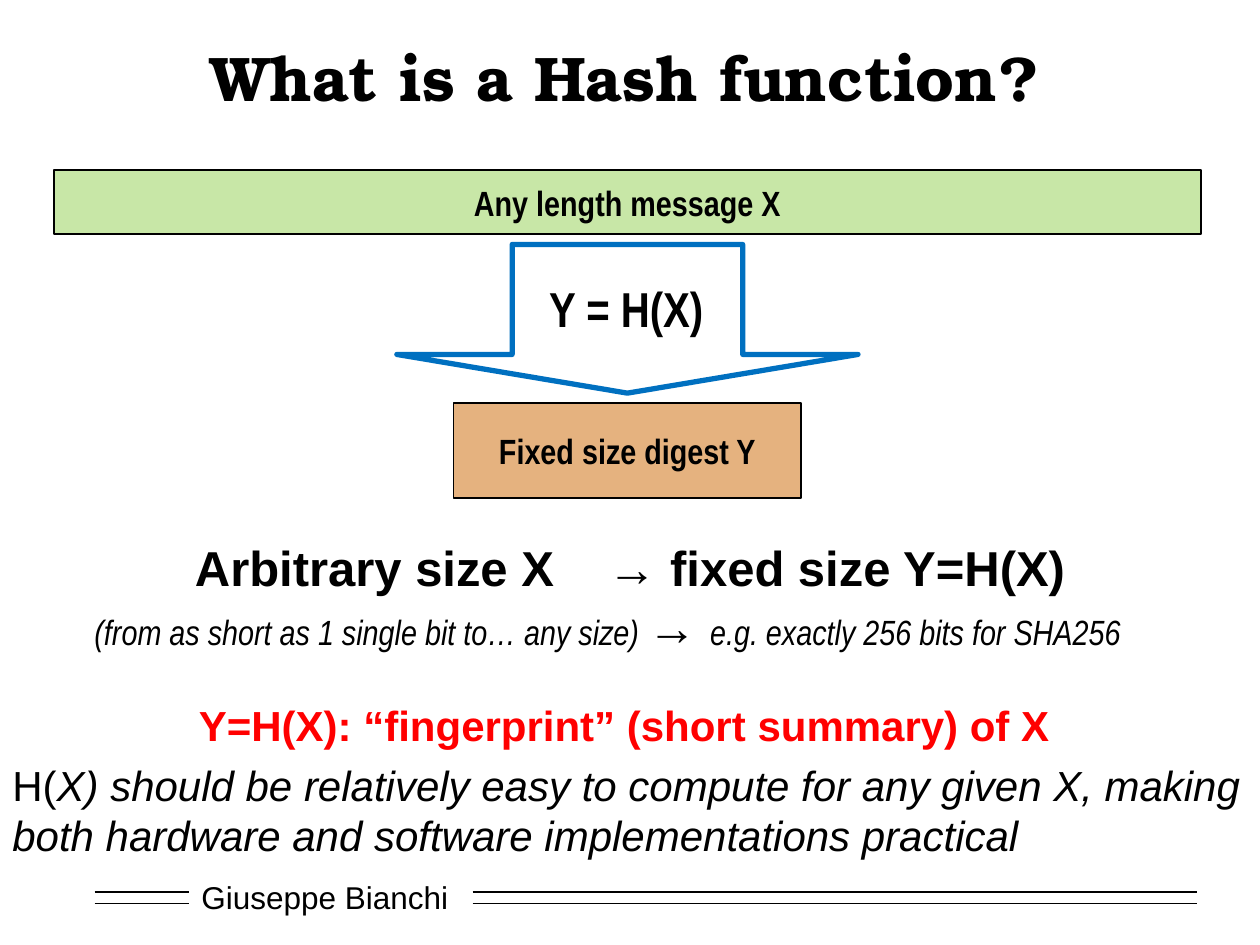
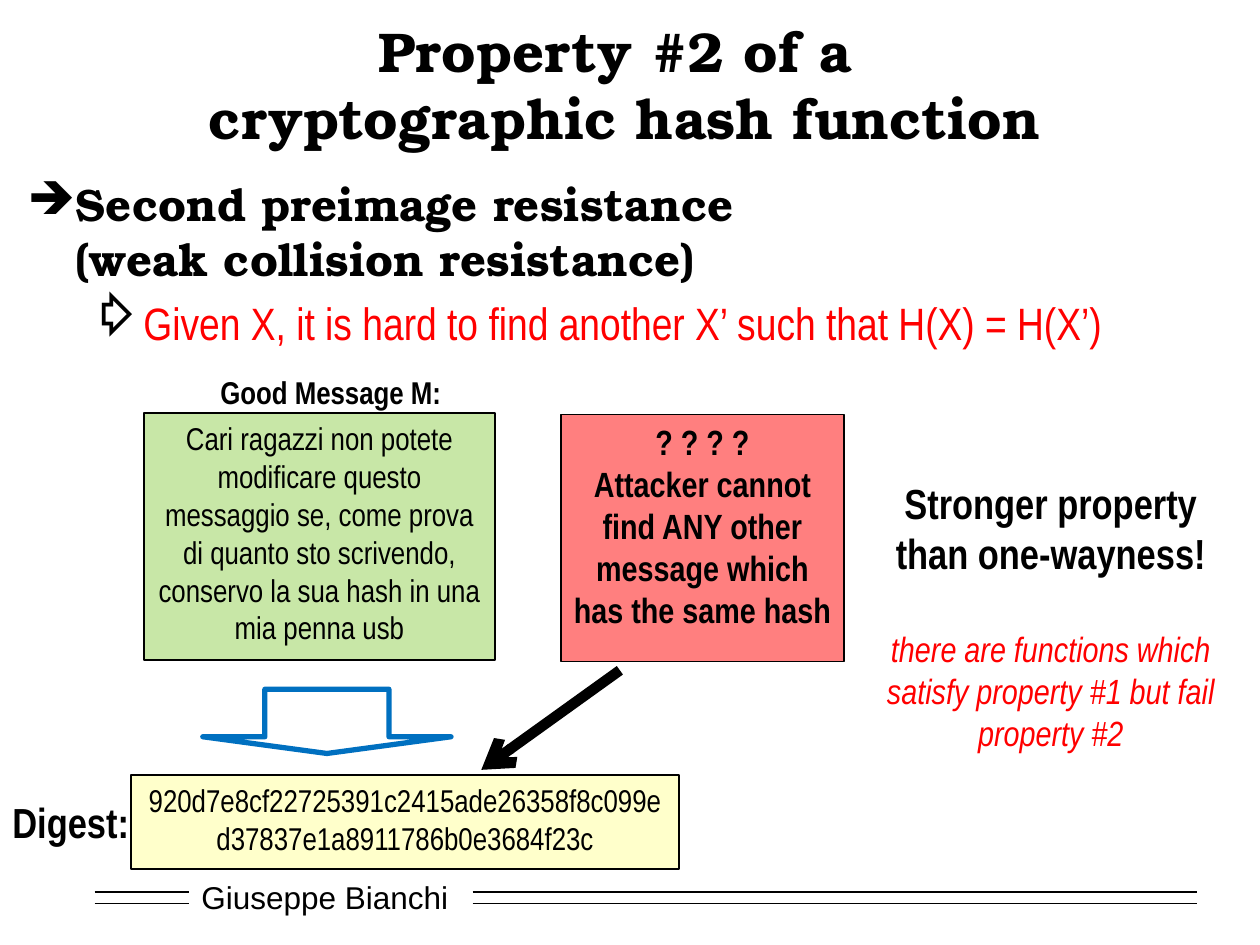
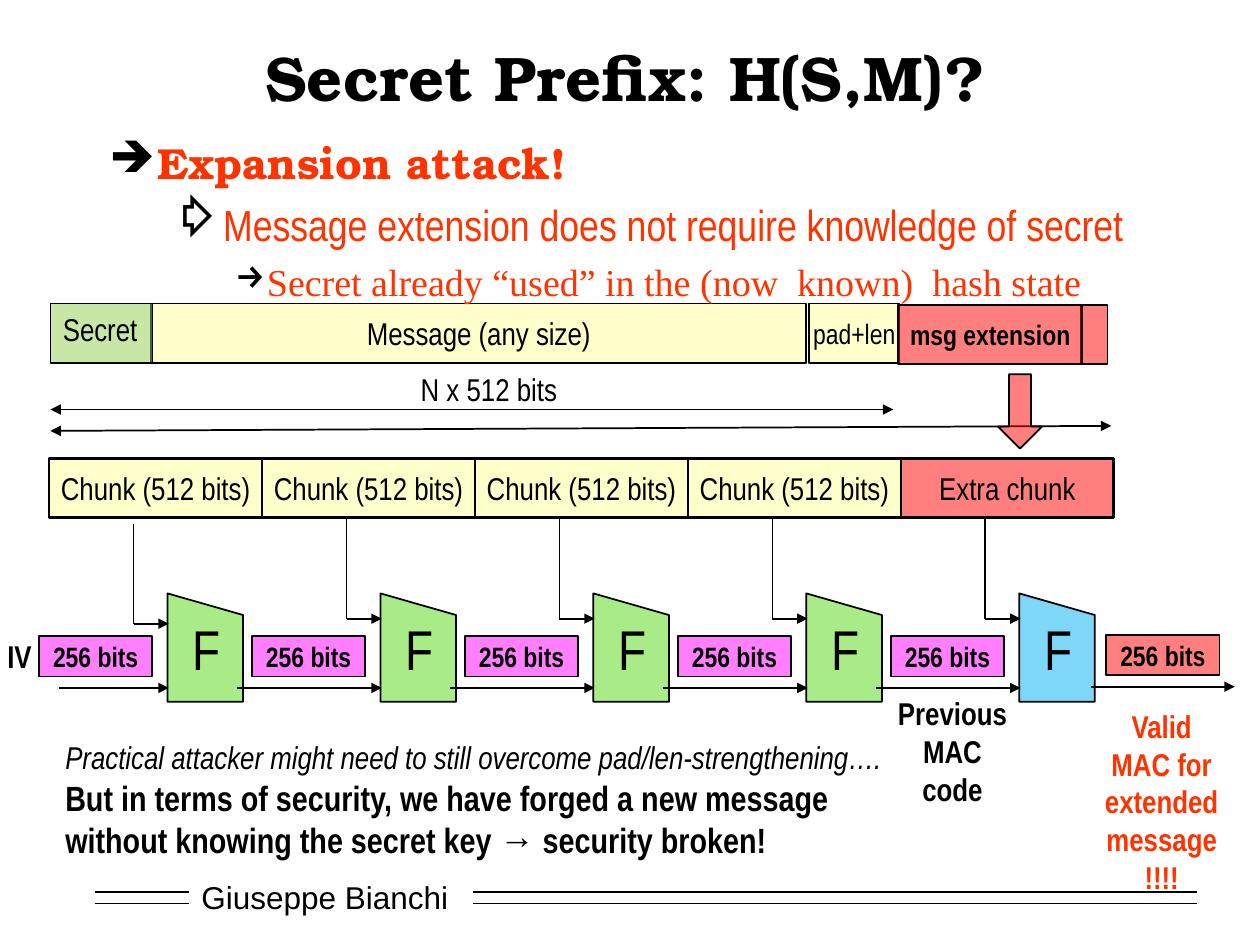
from lxml import etree
from pptx import Presentation
from pptx import util as u
from pptx.dml.color import RGBColor
from pptx.enum import shapes, text
from pptx.oxml import ns

BLACK = RGBColor(0x00, 0x00, 0x00)
WHITE = RGBColor(0xFF, 0xFF, 0xFF)
RED = RGBColor(0xFF, 0x00, 0x00)
ORANGE_RED = RGBColor(0xFF, 0x33, 0x00)
BLUE = RGBColor(0x00, 0x70, 0xC0)
SKY = RGBColor(0x00, 0xB0, 0xF0)
GREEN = RGBColor(0x92, 0xD0, 0x50)
LIME = RGBColor(0x53, 0xD8, 0x10)
BROWN = RGBColor(0xCC, 0x66, 0x00)
YELLOW = RGBColor(0xFF, 0xFF, 0x99)
MAGENTA = RGBColor(0xFF, 0x00, 0xFF)

SANS, NARROW = "Arial", "Arial Narrow"
HEADING, SERIF = "TeX Gyre Bonum", "Times New Roman"

CENTER = text.PP_ALIGN.CENTER
RECT = shapes.MSO_SHAPE.RECTANGLE
DOWN_ARROW = shapes.MSO_SHAPE.DOWN_ARROW
TRAPEZOID = shapes.MSO_SHAPE.FLOWCHART_MANUAL_INPUT


def child(parent, tag, **attributes):
    """Append a DrawingML element to the parent and return it."""
    return etree.SubElement(parent, ns.qn(tag), attributes)


def write(frame, content, *, size, font=NARROW, color=BLACK, bold=False, italic=False,
          align=None, before=0, bullet=None, margin=0, hang=0, leading=None,
          tracking=None, follow=False):
    """Write a formatted paragraph, or follow on in the last one."""
    paragraph = frame.paragraphs[-1]
    if not follow:
        if paragraph.runs:
            paragraph = frame.add_paragraph()
        paragraph.alignment = align
        paragraph.space_before = u.Pt(before)
        if leading:
            paragraph.line_spacing = u.Pt(leading)
        if bullet:
            props = paragraph._p.get_or_add_pPr()
            props.set("marL", str(u.Inches(margin)))
            props.set("indent", str(-u.Inches(hang)))
            child(child(props, "a:buClr"), "a:srgbClr", val=str(BLACK))
            child(props, "a:buChar", char=bullet)
    for number, line in enumerate(content.split("\n")):
        if number:
            paragraph.add_line_break()
        run = paragraph.add_run()
        run.text = line
        run.font.size = u.Pt(size)
        run.font.name = font
        run.font.color.rgb = color
        run.font.bold = bold
        run.font.italic = italic
        if tracking:
            run._r.get_or_add_rPr().set("spc", str(tracking * 100))


def text_area(slide, left, top, width, height, *, wrap=True, grow=False, middle=False):
    """Add a text box and return its frame."""
    frame = slide.shapes.add_textbox(*map(u.Inches, (left, top, width, height))).text_frame
    frame.word_wrap = wrap
    if grow:
        frame.auto_size = text.MSO_AUTO_SIZE.SHAPE_TO_FIT_TEXT
    if middle:
        frame.vertical_anchor = text.MSO_ANCHOR.MIDDLE
    return frame


def panel(slide, left, top, width, height, fill=None, *, kind=RECT, border=BLACK,
          weight=1, wrap=True, middle=False):
    """Add an outlined shape with an optional half-transparent fill."""
    shape = slide.shapes.add_shape(kind, *map(u.Inches, (left, top, width, height)))
    shape.shadow.inherit = False
    if fill is None:
        shape.fill.background()
    else:
        shape.fill.solid()
        shape.fill.fore_color.rgb = fill
        child(shape._element.spPr.find(".//" + ns.qn("a:srgbClr")), "a:alpha", val="50000")
    shape.line.color.rgb = border
    shape.line.width = u.Pt(weight)
    shape.text_frame.word_wrap = wrap
    shape.text_frame.vertical_anchor = (
        text.MSO_ANCHOR.MIDDLE if middle else text.MSO_ANCHOR.TOP)
    return shape


def caption_panel(slide, left, top, width, height, fill, caption, *, size=18,
                  bold=False, weight=1):
    """Add a panel with one centred line of text."""
    shape = panel(slide, left, top, width, height, fill, weight=weight,
                  wrap=False, middle=True)
    write(shape.text_frame, caption, size=size, bold=bold, align=CENTER)


def link(slide, start, end, *, weight=1, head=None, tail=None):
    """Draw a straight black line with optional arrowheads."""
    line = slide.shapes.add_connector(
        shapes.MSO_CONNECTOR.STRAIGHT, *map(u.Inches, (*start, *end)))
    line.line.color.rgb = BLACK
    line.line.width = u.Pt(weight)
    stroke = line.line._get_or_add_ln()
    if head:
        child(stroke, "a:headEnd", type=head)
    if tail:
        child(stroke, "a:tailEnd", type=tail)
    child(line._element.spPr, "a:effectLst")


def hash_arrow(slide, left, top, width, height):
    """Draw the wide blue arrow that stands for hashing."""
    arrow = panel(slide, left, top, width, height, kind=DOWN_ARROW, border=BLUE, weight=3)
    arrow.adjustments[1] = 0.26


def footer(slide, left, top):
    """Draw the author's name between double rules."""
    author = text_area(slide, left + 0.75, top, 2.17, 0.4, middle=True)
    write(author, "Giuseppe Bianchi", size=18, font=SANS)
    for drop in (0.16, 0.25):
        for start, end in ((0, 0.75), (3, 8.75)):
            link(slide, (left + start, top + drop), (left + end, top + drop))


def titled_slide(deck, title, *, top=0.25, height=0.71, size=36):
    """Add a slide with the shared footer and heading."""
    slide = deck.slides.add_slide(deck.slide_layouts[6])
    footer(slide, 0.75, 6.92)
    heading = text_area(slide, 0.75, top, 8.42, height, middle=True)
    write(heading, title, size=size, font=HEADING, bold=True, align=CENTER)
    return slide


def outline(slide, left, top, width, height, points):
    """Write points at successive bullet levels."""
    levels = (dict(bullet="➔", margin=0.38, hang=0.38, font=HEADING, bold=True),
              dict(bullet="⇨", margin=0.81, hang=0.31),
              dict(bullet="→", margin=1.25, hang=0.25, font=SERIF))
    frame = text_area(slide, left, top, width, height)
    for level, (content, size, color) in zip(levels, points):
        write(frame, content, size=size, color=color, before=size * 0.23, **level)


def digest_diagram(slide, left, top):
    """Draw the message, the hash arrow and the digest."""
    caption_panel(slide, left, top, 9.1, 0.51, GREEN, "Any length message X",
                  size=20, bold=True)
    hash_arrow(slide, left + 2.72, top + 0.59, 3.66, 1.18)
    caption_panel(slide, left + 3.17, top + 1.85, 2.76, 0.75, BROWN,
                  "Fixed size digest Y", size=20, bold=True)
    formula = text_area(slide, left + 3.83, top + 0.81, 1.43, 0.57, wrap=False, grow=True)
    write(formula, "Y = H(X)", size=28, bold=True)


def hash_summary(slide, left, top):
    """Write what a hash function does."""
    frame = text_area(slide, left, top, 10, 2.6)
    strong = dict(size=28, font=SANS, bold=True)
    aside = dict(size=20, italic=True, follow=True)
    write(frame, "Arbitrary size X", align=CENTER, before=6, **strong)
    write(frame, " ", tracking=23, follow=True, **strong)
    write(frame, "→ fixed size Y=H(X)", follow=True, **strong)
    write(frame, "(from as short as 1 single bit to… any size) ", size=20,
          italic=True, align=CENTER)
    write(frame, "→ ", follow=True, **strong)
    write(frame, "e.g. exactly 256 bits for SHA256\t", **aside)
    write(frame, "Y=H(X): “fingerprint” (short summary) of X ", size=24, font=SANS,
          color=RED, bold=True, align=CENTER, before=25)
    write(frame, "H(", size=24, font=SANS, before=5.5)
    write(frame, "X) should be relatively easy to compute for any given X, making both "
          "hardware and software implementations practical", size=24, font=SANS,
          italic=True, follow=True)


def collision_diagram(slide, left, top):
    """Draw the good message, the attacker's message and their digest."""
    message = panel(slide, left + 1.14, top + 0.37, 2.79, 1.96, GREEN)
    write(message.text_frame, "Cari ragazzi non potete modificare questo messaggio se, "
          "come prova di quanto sto scrivendo, conservo la sua hash in una mia penna usb",
          size=18, align=CENTER)
    attack = panel(slide, left + 4.45, top + 0.38, 2.25, 1.96, RED)
    for line in ("? ? ? ?",
                 "Attacker cannot find ANY other message which has the same hash"):
        write(attack.text_frame, line, size=20, bold=True, align=CENTER)
    link(slide, (left + 4.92, top + 2.41), (left + 3.82, top + 3.2), weight=6, tail="arrow")
    digest = panel(slide, left + 1.04, top + 3.24, 4.35, 0.75, YELLOW)
    write(digest.text_frame,
          "920d7e8cf22725391c2415ade26358f8c099ed37837e1a8911786b0e3684f23c",
          size=18, align=CENTER)
    for label, x, y, width, size in (("Digest:", 0, 3.36, 1.14, 24),
                                     ("Good Message M:", 1.65, 0, 1.97, 18)):
        frame = text_area(slide, left + x, top + y, width, 0.5, wrap=False, grow=True)
        write(frame, label, size=size, bold=True)
    hash_arrow(slide, left + 1.61, top + 2.56, 1.97, 0.51)


def strength_note(slide, left, top):
    """Write how this property compares with one-wayness."""
    frame = text_area(slide, left, top, 2.9, 2.32)
    write(frame, "Stronger property than one-wayness!", size=24, bold=True, align=CENTER)
    write(frame, "there are functions which satisfy property #1 but fail property #2",
          size=20, color=RED, italic=True, align=CENTER, before=28)


def message_bar(slide, left, top):
    """Draw the secret, message, padding and extension with their spans."""
    caption_panel(slide, left + 0.8, top, 5.2, 0.47, YELLOW, "Message (any size)")
    caption_panel(slide, left + 6.02, top, 0.72, 0.47, YELLOW, "pad+len", size=16)
    secret = panel(slide, left, top, 0.81, 0.47, GREEN)
    write(secret.text_frame, "Secret", size=18)
    panel(slide, left + 8.18, top + 0.01, 0.21, 0.47, RED)
    caption_panel(slide, left + 6.73, top + 0.01, 1.46, 0.47, RED, "msg extension",
                  size=16, bold=True)
    for length, start, end in ((6.69, 0.84, 0.84), (8.42, 1.01, 0.97)):
        link(slide, (left, top + start), (left + length, top + end),
             head="triangle", tail="triangle")
    span = text_area(slide, left + 2.84, top + 0.48, 1.29, 0.4, wrap=False, grow=True)
    write(span, "N x 512 bits", size=18)
    panel(slide, left + 7.52, top + 0.56, 0.35, 0.59, RED, kind=DOWN_ARROW)


def hash_state(slide, left, top, fill):
    """Draw one 256-bit state box."""
    caption_panel(slide, left, top, 0.9, 0.32, fill, "256 bits", size=16, bold=True)


def chain_stage(slide, left, top, caption, chunk_fill, function_fill, lead, dip):
    """Draw a chunk feeding F together with the incoming state."""
    caption_panel(slide, left, top, 1.69, 0.47, chunk_fill, caption, weight=1.5)
    corner = (left + 0.67, top + 1.27 + dip)
    link(slide, (left + 0.67, top + 0.48 + dip), corner)
    link(slide, corner, (left + 0.95, corner[1]), tail="triangle")
    link(slide, (left + lead, top + 1.82), (left + 0.95, top + 1.82), tail="triangle")
    hash_state(slide, left - 0.08, top + 1.41, MAGENTA)
    function = panel(slide, left + 0.94, top + 1.07, 0.6, 0.86, function_fill, kind=TRAPEZOID)
    function._element.spPr.find(ns.qn("a:xfrm")).set("flipH", "1")
    write(function.text_frame, " F", size=32, leading=34.4)


def hash_chain(slide, left, top):
    """Draw the chained stages and the labels of their states."""
    pitch, stages = 1.69, 5
    for number in range(stages):
        extra = number == stages - 1
        chain_stage(slide, left + number * pitch, top,
                    "Extra chunk" if extra else "Chunk (512 bits)",
                    RED if extra else YELLOW, SKY if extra else LIME,
                    lead=-0.2 if number else 0.08, dip=0 if number else 0.04)
    end = left + stages * pitch
    link(slide, (end - 0.18, top + 1.81), (end + 0.96, top + 1.81), tail="triangle")
    hash_state(slide, end - 0.06, top + 1.4, RED)
    for label, x, y, width, height, color in (
            ("IV", -0.47, 1.37, 0.47, 0.4, BLACK),
            ("Previous MAC code", 6.62, 1.82, 1.1, 1.01, BLACK),
            ("Valid MAC for extended message!!!!", 8.26, 1.92, 1.14, 1.62, ORANGE_RED)):
        frame = text_area(slide, left + x, top + y, width, height)
        write(frame, label, size=18, color=color, bold=True, align=CENTER)


def attack_conclusion(slide, left, top):
    """Write what the attack means for security."""
    frame = text_area(slide, left, top, 6.9, 1.1)
    write(frame, "Practical attacker might need to still overcome pad/len-strengthening….",
          size=18, italic=True)
    for line in ("But in terms of security, we have forged a new message",
                 "without knowing the secret key → security broken!"):
        write(frame, line, size=20, bold=True)


def main():
    """Build and save the three slides."""
    deck = Presentation()
    deck.slide_width, deck.slide_height = u.Inches(10), u.Inches(7.5)

    definition = titled_slide(deck, "What is a Hash function?")
    hash_summary(definition, 0, 4.22)
    digest_diagram(definition, 0.43, 1.35)

    resistance = titled_slide(deck, "Property #2 of a \ncryptographic hash function",
                              top=0.05, height=1.23, size=32)
    outline(resistance, 0.12, 1.35, 9.88, 1.45, (
        ("Second preimage resistance \n(weak collision resistance)", 25.9, BLACK),
        ("Given X, it is hard to find another X’ such that H(X) = H(X’)", 25.9, RED)))
    collision_diagram(resistance, 0, 2.91)
    strength_note(resistance, 6.89, 3.74)

    prefix = titled_slide(deck, "Secret Prefix: H(S,M)?")
    message_bar(prefix, 0.4, 2.41)
    hash_chain(prefix, 0.39, 3.64)
    outline(prefix, 0.77, 1.03, 8.92, 1.28, (
        ("Expansion attack!", 24.8, ORANGE_RED),
        ("Message extension does not require knowledge of secret", 24.8, ORANGE_RED),
        ("Secret already “used” in the (now  known)  hash state", 21.7, ORANGE_RED)))
    attack_conclusion(prefix, 0.42, 5.81)

    deck.save("out.pptx")


if __name__ == "__main__":
    main()
